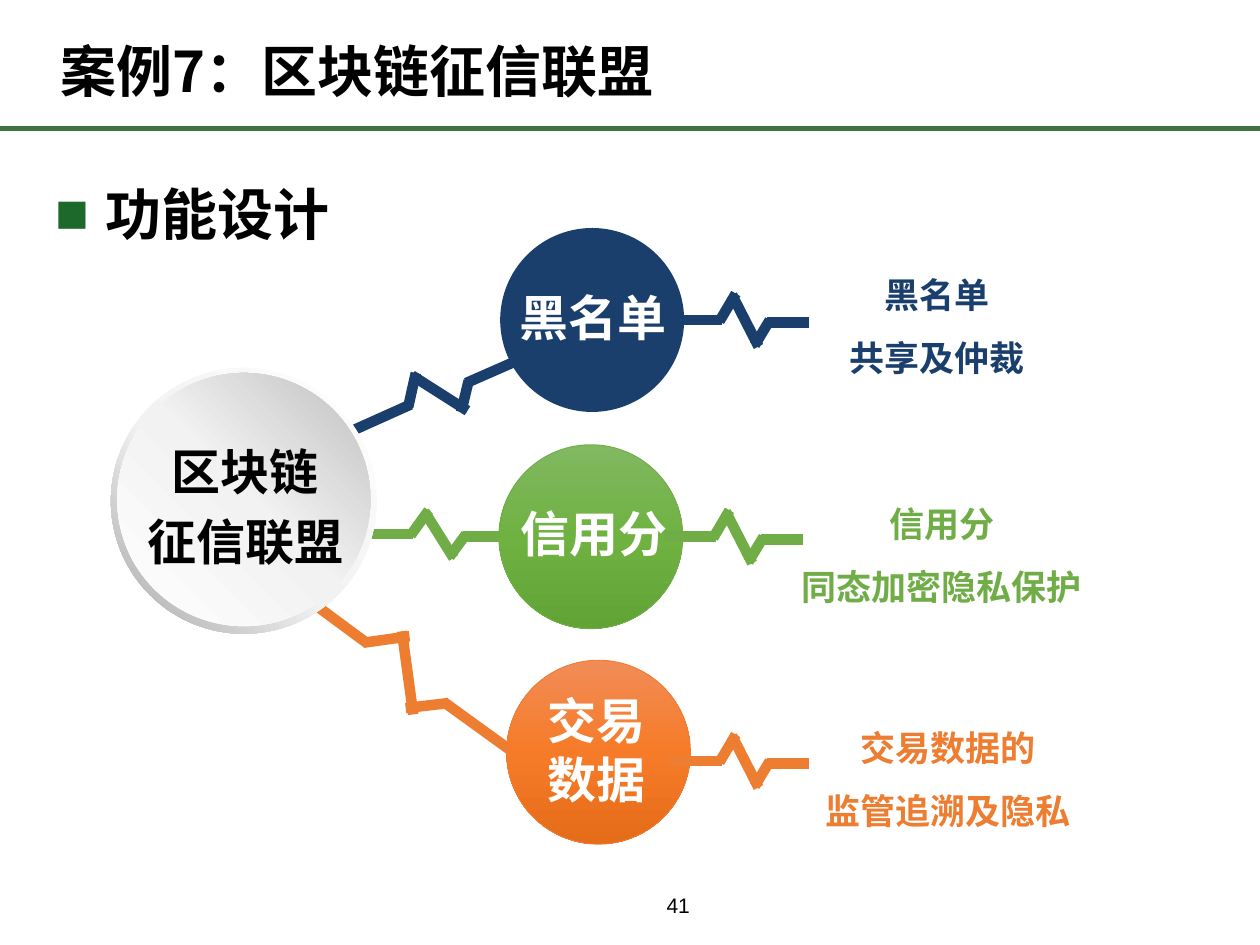
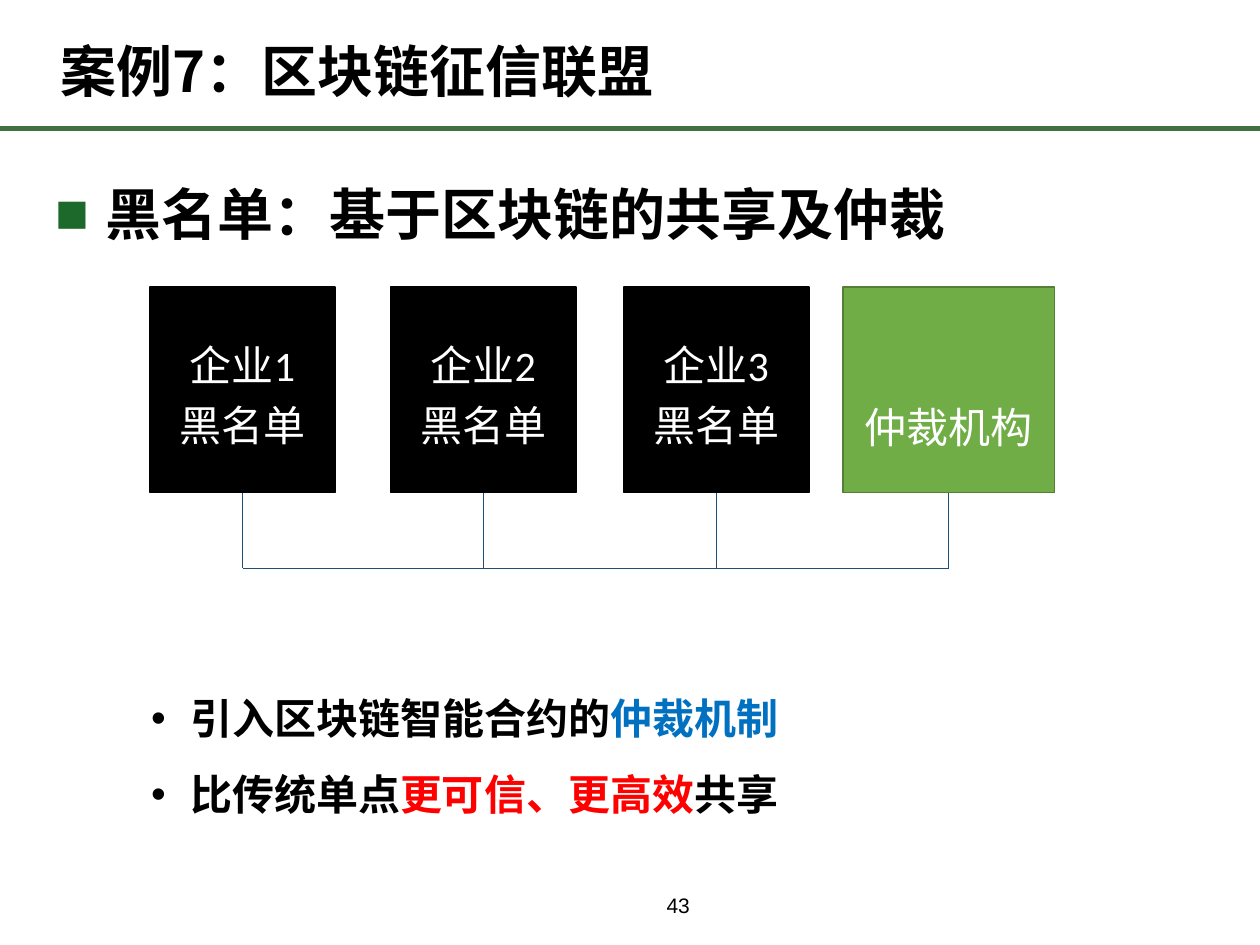
from copy import deepcopy
from dataclasses import dataclass

from lxml.etree import SubElement
from pptx import Presentation
from pptx.dml.color import RGBColor
from pptx.enum.shapes import MSO_CONNECTOR, MSO_SHAPE
from pptx.enum.text import MSO_ANCHOR, PP_ALIGN
from pptx.oxml.ns import qn
from pptx.util import Inches, Pt


@dataclass(frozen=True)
class Theme:
    face: str = "Noto Sans CJK SC"
    plain: str = "Calibri"
    foot: str = "Arial"
    black: str = "000000"
    white: str = "FFFFFF"
    rule: str = "3F7141"
    mark: str = "1D692B"
    navy: str = "1A3F6C"
    green: str = "70AD47"
    moss: str = "538035"
    orange: str = "ED7D31"
    wire: str = "1F4E79"
    blue: str = "0070C0"
    red: str = "FF0000"
    head: int = 32
    disc: int = 28
    body: int = 24
    note: int = 20
    small: int = 12


T = Theme()
deck = Presentation()
deck.slide_width, deck.slide_height = Inches(10), Inches(7.5)
# Grid of 100 columns by 75 rows
COL, ROW = deck.slide_width // 100, deck.slide_height // 75


def write(page, text, at=None, host=None, size=T.body, color=T.black, bold=True,
          face=T.face, align=PP_ALIGN.LEFT, anchor=MSO_ANCHOR.TOP, gap=None,
          inset=(1, 0.5, 1, 0.5), bullet=None, tint=T.black, indent=3.1):
    """Each line is a string or a list of (string, colour) runs."""
    if host is None:
        x, y, w, h = at
        host = page.shapes.add_textbox(int(x * COL), int(y * ROW), int(w * COL), int(h * ROW))
    frame = host.text_frame
    frame.word_wrap = True
    frame.vertical_anchor = anchor
    frame.margin_left, frame.margin_right = int(inset[0] * COL), int(inset[2] * COL)
    frame.margin_top, frame.margin_bottom = int(inset[1] * ROW), int(inset[3] * ROW)
    for i, line in enumerate([text] if isinstance(text, str) else text):
        para = frame.add_paragraph() if i else frame.paragraphs[0]
        if bullet:
            props = para._p.get_or_add_pPr()
            props.set("marL", str(int(indent * COL)))
            props.set("indent", str(-int(indent * COL)))
            SubElement(SubElement(props, qn("a:buClr")), qn("a:srgbClr")).set("val", tint)
            SubElement(props, qn("a:buFont")).set("typeface", T.foot)
            SubElement(props, qn("a:buChar")).set("char", bullet)
        para.alignment = align
        if gap:
            para.line_spacing = gap
        for part, shade in [(line, color)] if isinstance(line, str) else line:
            run = para.add_run()
            run.text = part
            font = run.font
            font.size, font.bold, font.name = Pt(size), bold, face
            font.color.rgb = RGBColor.from_string(shade)
            SubElement(run._r.get_or_add_rPr(), qn("a:ea")).set("typeface", T.face)


def link(page, ends, color, width):
    x1, y1, x2, y2 = ends
    wire = page.shapes.add_connector(MSO_CONNECTOR.STRAIGHT, int(x1 * COL), int(y1 * ROW),
                                     int(x2 * COL), int(y2 * ROW))
    wire.line.color.rgb = RGBColor.from_string(color)
    wire.line.width = Pt(width)
    SubElement(wire._element.spPr, qn("a:effectLst"))
    return wire


# Shared frame: rule, page number, title, heading
pages = []
for number, topic in [("41", "功能设计"), ("43", "黑名单：基于区块链的共享及仲裁")]:
    page = deck.slides.add_slide(deck.slide_layouts[6])
    link(page, (0, 10.2, 100, 10.2), T.rule, 3)
    write(page, number, (52.9, 70, 10, 2.8), size=T.small, bold=False, face=T.foot,
          anchor=MSO_ANCHOR.BOTTOM, gap=Pt(20), inset=(0, 0, 0, 0))
    write(page, "案例7：区块链征信联盟", (3.8, 1.1, 86.2, 9.3), size=T.head,
          anchor=MSO_ANCHOR.MIDDLE, gap=Pt(36))
    write(page, topic, (3.4, 11.1, 84.3, 8.1), size=T.head, gap=1.5,
          bullet="■", tint=T.mark, indent=4)
    pages.append(page)
hub, share = pages

# Slide 1: pulse lines; zig holds the offsets of a level pulse
zig = [(0, 0, 4.1, 0), (7.7, 0.2, 11, 0.2), (3.9, 0.1, 5.2, -2.1),
       (6.7, 2, 7.9, 0), (7, 2.1, 4.9, -2)]
rise = [(27.7, 34.3, 32.6, 32.1), (37, 30.4, 41.1, 28.6), (32.4, 32.3, 33, 29.6),
        (36.6, 32.7, 37.2, 30.2), (37.1, 32.6, 32.7, 29.8)]
fall = [(22.3, 46, 29.2, 51.1), (35.2, 55.7, 41, 59.9), (28.9, 51, 32.5, 50.5),
        (32.2, 56.2, 35.6, 55.8), (32.8, 56.7, 31.9, 50.1)]
level = [(28.3 + a * 1.1, 42.4 + b * 0.9, 28.3 + c * 1.1, 42.4 + d * 0.9)
         for a, b, c, d in zig]
starts = [(53.2, 25.4), (52.7, 42.6), (53.2, 60.4)]
tones = [T.navy, T.green, T.orange]
for tone, path_in in zip(tones, [rise, level, fall]):
    for ends in path_in:
        link(hub, ends, tone, 6)

# Discs: shape, left, top, size, fill stops, turn, edge
discs = [
    (MSO_SHAPE.DONUT, 8.8, 29.2, 21.1, [(0, "FFFFFF"), (0.55, "F2F2F2"), (1, "A6A6A6")], 225, None),
    (MSO_SHAPE.OVAL, 9.3, 29.6, 20.1, [(0, "FFFFFF"), (0.51, "F2F2F2"), (1, "BFBFBF")], 45, None),
    (MSO_SHAPE.OVAL, 39.7, 18.1, 14.6, None, 0, None),
    (MSO_SHAPE.OVAL, 39.6, 35.3, 14.6, [(0, "81B861"), (0.5, "6FB242"), (1, "62A336")], 270, T.green),
    (MSO_SHAPE.OVAL, 40.2, 52.4, 14.6, [(0, "F18C57"), (0.5, "F67B28"), (1, "E56C19")], 270, T.orange),
]
for form, x, y, size, stops, turn, edge in discs:
    disc = hub.shapes.add_shape(form, int(x * COL), int(y * ROW), int(size * COL), int(size * ROW))
    disc.shadow.inherit = False
    if form == MSO_SHAPE.DONUT:
        disc.adjustments[0] = 0.05
    if stops:
        disc.fill.gradient()
        disc.fill.gradient_angle = turn
        ramp = disc._element.xpath(".//a:gsLst")[0]
        ramp.append(deepcopy(ramp[0]))
        for stop, (place, shade) in zip(disc.fill.gradient_stops, stops):
            stop.position = place
            stop.color.rgb = RGBColor.from_string(shade)
    else:
        disc.fill.solid()
        disc.fill.fore_color.rgb = RGBColor.from_string(T.navy)
    if edge:
        disc.line.color.rgb = RGBColor.from_string(edge)
        disc.line.width = Pt(0.5)
    else:
        disc.line.fill.background()

for tone, (x, y) in zip(tones, starts):
    for a, b, c, d in zig:
        link(hub, (x + a, y + b, x + c, y + d), tone, 6)

# Labels on and beside the discs
mid = dict(align=PP_ALIGN.CENTER, inset=(0, 0, 0, 0))
write(hub, ["区块链", "征信联盟"], (9.5, 34.1, 19.9, 11.3), size=T.disc, gap=1.2, **mid)
names = [("黑名单", (36.2, 22.8, 21.7, 4.7)), ("信用分", (36.3, 40, 21.7, 4.7)),
         (["交易", "数据"], (36.5, 54.8, 21.7, 9.4))]
notes = [(["黑名单", "共享及仲裁"], (63.5, 20, 21.7, 10.1)),
         (["信用分", "同态加密隐私保护"], (60.9, 38.2, 27.7, 10.1)),
         (["交易数据的", "监管追溯及隐私"], (61.4, 56, 27.7, 10.1))]
for tone, (name, spot), (note, side) in zip(tones, names, notes):
    write(hub, name, spot, size=T.disc, color=T.white, **mid)
    write(hub, note, side, size=T.note, color=tone, gap=1.5, **mid)

# Slide 2: points below the boxes
write(share, [[("引入区块链智能合约的", T.black), ("仲裁机制", T.blue)],
              [("比传统单点", T.black), ("更可信、更高效", T.red), ("共享", T.black)]],
      (11, 52.5, 87.1, 13.1), gap=1.5, bullet="•")

# Boxes, each with a drop to the shared rail
top, tall, rail = 22.8, 16.3, 45.1
boxes = [(x, 14.7, [f"企业{i}", "黑名单"], T.black, T.black, 0.5)
         for i, x in enumerate((11.9, 31, 49.5), 1)]
boxes.append((66.9, 16.8, "仲裁机构", T.green, T.moss, 5.6))
for x, wide, text, fill, edge, pad in boxes:
    box = share.shapes.add_shape(MSO_SHAPE.RECTANGLE, int(x * COL), int(top * ROW),
                                 int(wide * COL), int(tall * ROW))
    box.shadow.inherit = False
    box.fill.solid()
    box.fill.fore_color.rgb = RGBColor.from_string(fill)
    box.line.color.rgb = RGBColor.from_string(edge)
    box.line.width = Pt(1)
    write(share, text, host=box, color=T.white, bold=False, face=T.plain, gap=1.2,
          align=PP_ALIGN.CENTER, anchor=MSO_ANCHOR.MIDDLE, inset=(1, pad, 1, 0.5))
    core = x + wide / 2
    drop = link(share, (core, top + tall, core, rail), T.wire, 0.5)
    drop.begin_connect(box, 2)
link(share, (19.25, rail, 75.3, rail), T.wire, 0.5)

deck.save("out.pptx")
